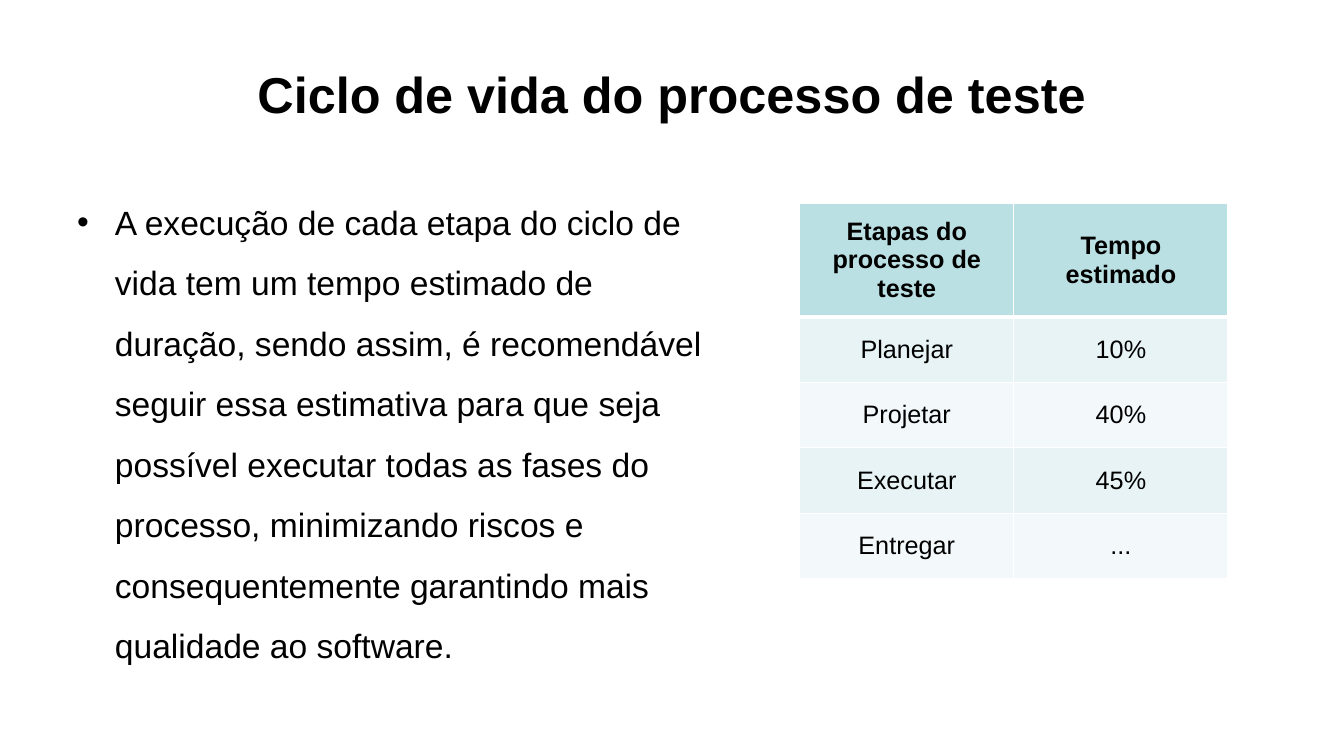
from lxml import etree
from pptx import Presentation
from pptx.dml.color import RGBColor
from pptx.enum import text
from pptx.oxml import ns
from pptx.util import Pt

BLACK = RGBColor(0x00, 0x00, 0x00)
WHITE = RGBColor(0xFF, 0xFF, 0xFF)
HEADER_TEAL = RGBColor(0xBB, 0xE0, 0xE3)
BANDS = (RGBColor(0xE7, 0xF3, 0xF4), RGBColor(0xF3, 0xF9, 0xFA))

TITLE = "Ciclo de vida do processo de teste"
ADVICE = (
    "A execução de cada etapa do ciclo de vida tem um tempo estimado de duração, "
    "sendo assim, é recomendável seguir essa estimativa para que seja possível "
    "executar todas as fases do processo, minimizando riscos e consequentemente "
    "garantindo mais qualidade ao software."
)
STAGES = (
    ("Etapas do processo de teste", "Tempo estimado"),
    ("Planejar", "10%"),
    ("Projetar", "40%"),
    ("Executar", "45%"),
    ("Entregar", "..."),
)
HEADER_HEIGHT, STAGE_HEIGHT = 80.6, 46.8


def write(frame, words, size, bold=False, **paragraph_format):
    """Put one formatted paragraph in a text frame and return it."""
    frame.word_wrap = True
    paragraph = frame.paragraphs[0]
    for name, value in paragraph_format.items():
        setattr(paragraph, name, value)
    run = paragraph.add_run()
    run.text = words
    for name, value in {"name": "Arial", "size": Pt(size), "bold": bold}.items():
        setattr(run.font, name, value)
    run.font.color.rgb = BLACK
    return paragraph


def add_title(slide, left, top, width, height):
    frame = slide.shapes.add_textbox(Pt(left), Pt(top), Pt(width), Pt(height)).text_frame
    frame.vertical_anchor = text.MSO_ANCHOR.MIDDLE
    write(frame, TITLE, 36, bold=True, alignment=text.PP_ALIGN.CENTER)


def add_advice(slide, left, top, width, height):
    frame = slide.shapes.add_textbox(Pt(left), Pt(top), Pt(width), Pt(height)).text_frame
    advice = write(frame, ADVICE, 24, line_spacing=1.5, space_before=Pt(4.8))
    # Bullet with hanging indent
    properties = advice._p.get_or_add_pPr()
    properties.set("marL", str(Pt(27)))
    properties.set("indent", str(Pt(-27)))
    etree.SubElement(properties, ns.qn("a:buFont")).set("typeface", "Arial")
    etree.SubElement(properties, ns.qn("a:buChar")).set("char", "•")


def set_borders(cell, top, bottom):
    """Draw white cell borders; the side lines are always 1 pt."""
    properties = cell._tc.get_or_add_tcPr()
    widths = {"lnL": 1, "lnR": 1, "lnT": top, "lnB": bottom}
    for position, (side, width) in enumerate(widths.items()):
        line = etree.Element(ns.qn(f"a:{side}"), w=str(Pt(width)))
        fill = etree.SubElement(line, ns.qn("a:solidFill"))
        etree.SubElement(fill, ns.qn("a:srgbClr")).set("val", str(WHITE))
        properties.insert(position, line)


def add_stage_table(slide, left, top, width):
    heights = [HEADER_HEIGHT] + [STAGE_HEIGHT] * (len(STAGES) - 1)
    columns = len(STAGES[0])
    table = slide.shapes.add_table(
        len(STAGES), columns, Pt(left), Pt(top), Pt(width), Pt(sum(heights))
    ).table
    for column in table.columns:
        column.width = Pt(width / columns)
    for index, (stage, height) in enumerate(zip(STAGES, heights)):
        table.rows[index].height = Pt(height)
        header = index == 0
        for cell, words in zip(table.rows[index].cells, stage):
            cell.vertical_anchor = text.MSO_ANCHOR.MIDDLE
            cell.fill.solid()
            cell.fill.fore_color.rgb = HEADER_TEAL if header else BANDS[(index - 1) % 2]
            # A thicker line parts the header from the stages
            set_borders(cell, top=3 if index == 1 else 1, bottom=3 if header else 1)
            write(cell.text_frame, words, 18, bold=header, alignment=text.PP_ALIGN.CENTER)


def main():
    deck = Presentation()
    deck.slide_width, deck.slide_height = Pt(960), Pt(540)
    slide = deck.slides.add_slide(deck.slide_layouts[6])
    add_title(slide, 48, 21.6, 864, 90)
    add_advice(slide, 48, 126, 466, 356.4)
    add_stage_table(slide, 571.2, 145.6, 306)
    deck.save("out.pptx")


if __name__ == "__main__":
    main()
